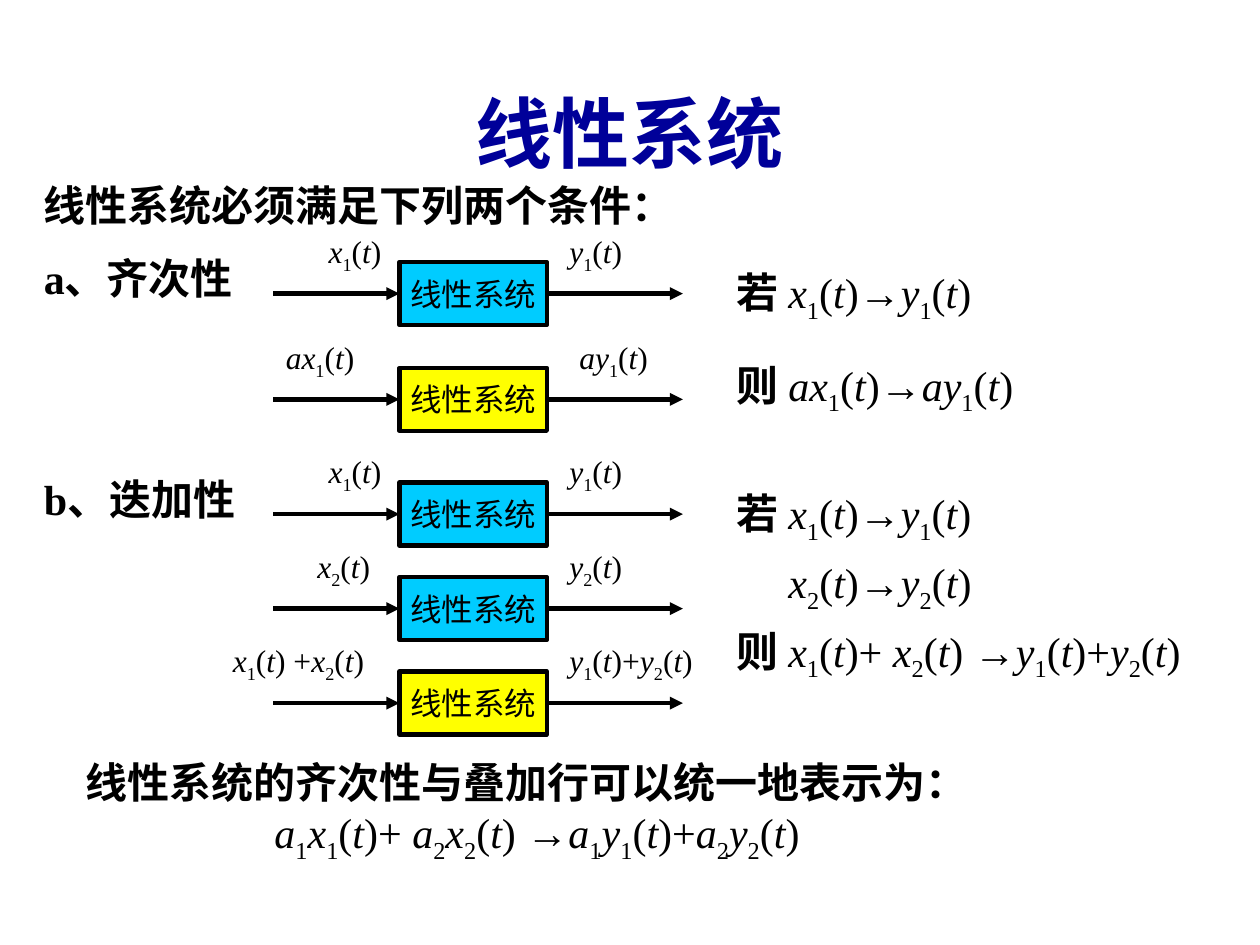
from itertools import groupby

from lxml import etree
from pptx import Presentation
from pptx import util as u
from pptx.dml.color import RGBColor
from pptx.enum import shapes, text
from pptx.oxml.ns import qn

COLORS = {"ink": "000000", "title": "000099", "given": "00CCFF", "result": "FFFF00"}
SANS, SERIF = "Arial", "Times New Roman"
MIDDLE, BOTTOM = text.MSO_ANCHOR.MIDDLE, text.MSO_ANCHOR.BOTTOM


def color(name):
    return RGBColor.from_string(COLORS[name])


def math_kind(char):
    """Sort a character of a formula by how it is set."""
    if char in "若则":
        return "word"
    if char == "→":
        return "arrow"
    if char.isdigit():
        return "subscript"
    return "variable" if char.isalpha() else "upright"


class SystemSlide:
    def __init__(self, page):
        self.page = page
        self.line_width = u.Pt(2.5)

    def style(self, para, size, name=SERIF, ink="ink", bold=False):
        para.font.size = u.Pt(size)
        para.font.name = name
        para.font.bold = bold
        para.font.color.rgb = color(ink)

    def frame(self, left, top, width, height, anchor=MIDDLE):
        box = self.page.shapes.add_textbox(
            u.Inches(left), u.Inches(top), u.Inches(width), u.Inches(height))
        box.text_frame.word_wrap = True
        box.text_frame.vertical_anchor = anchor
        return box.text_frame

    def heading(self, words, left, top, width, height,
                size=24, name=SANS, ink="ink", centered=False):
        para = self.frame(left, top, width, height).paragraphs[0]
        self.style(para, size, name, ink, bold=True)
        if centered:
            para.alignment = text.PP_ALIGN.CENTER
        for is_ascii, chars in groupby(words, str.isascii):
            span = para.add_run()
            span.text = "".join(chars)
            if is_ascii:
                span.font.name = SERIF

    def formula(self, para, words, size):
        self.style(para, size)
        for kind, chars in groupby(words, math_kind):
            span = para.add_run()
            span.text = "".join(chars)
            if kind == "word":
                span.font.bold = True
                span.font.name = SANS
            elif kind == "arrow":
                span.font.name = SANS
            elif kind == "variable":
                span.font.italic = True
            elif kind == "subscript":
                span.font._element.set("baseline", "-25000")

    def formulas(self, lines, left, top, width, height, size=24, anchor=MIDDLE):
        frame = self.frame(left, top, width, height, anchor)
        for index, words in enumerate(lines):
            para = frame.add_paragraph() if index else frame.paragraphs[0]
            self.formula(para, words, size)
        return frame

    def system_box(self, top, fill):
        box = self.page.shapes.add_shape(
            shapes.MSO_SHAPE.RECTANGLE, u.Inches(3.17), u.Inches(top),
            u.Inches(1.17), u.Inches(0.5))
        box.shadow.inherit = False
        box.fill.solid()
        box.fill.fore_color.rgb = color(fill)
        box.line.color.rgb = color("ink")
        box.line.width = self.line_width
        frame = box.text_frame
        frame.word_wrap = False
        frame.vertical_anchor = MIDDLE
        para = frame.paragraphs[0]
        para.alignment = text.PP_ALIGN.CENTER
        self.style(para, 18, SANS)
        para.add_run().text = "线性系统"
        return box

    def arrow(self, start, end, y):
        line = self.page.shapes.add_connector(
            shapes.MSO_CONNECTOR.STRAIGHT, u.Inches(start), u.Inches(y),
            u.Inches(end), u.Inches(y))
        line.line.color.rgb = color("ink")
        line.line.width = self.line_width
        etree.SubElement(line.line._get_or_add_ln(), qn("a:tailEnd"), type="triangle")
        etree.SubElement(line._element.spPr, qn("a:effectLst"))
        return line

    def system_row(self, top, fill, source, response):
        """Draw input arrow, system box and output arrow with both labels."""
        box = self.system_box(top, fill)
        self.arrow(2.17, 3.17, top + 0.25).end_connect(box, 1)
        self.arrow(4.34, 5.42, top + 0.25).begin_connect(box, 3)
        for words, left, width in (source, response):
            self.formulas([words], left, top - 0.29, width, 0.44, 18, BOTTOM)


def main():
    deck = Presentation()
    deck.slide_width, deck.slide_height = u.Inches(10), u.Inches(7.5)
    slide = SystemSlide(deck.slides.add_slide(deck.slide_layouts[6]))

    # Title and section headings
    slide.heading("线性系统", 0.33, 0.42, 9.34, 1.25, 44, ink="title", centered=True)
    for words, top in (("线性系统必须满足下列两个条件：", 1.25),
                       ("a、齐次性", 1.83), ("b、迭加性", 3.58)):
        slide.heading(words, 0.25, top, 5.25, 0.75)

    # Block diagrams: label, left and width for input and output
    x1, y1 = ("x1(t)", 2.51, 0.64), ("y1(t)", 4.42, 0.64)
    rows = [
        (2.08, "given", x1, y1),
        (2.92, "result", ("ax1(t)", 2.17, 0.76), ("ay1(t)", 4.5, 0.83)),
        (3.83, "given", x1, y1),
        (4.58, "given", ("x2(t)", 2.42, 0.64), ("y2(t)", 4.42, 0.64)),
        (5.33, "result", ("x1(t) +x2(t)", 1.75, 1.47), ("y1(t)+y2(t)", 4.42, 1.42)),
    ]
    for row in rows:
        slide.system_row(*row)

    # Homogeneity conditions
    frame = slide.formulas(["若 x1(t)→y1(t)", "则 ax1(t)→ay1(t)"],
                           5.75, 2.17, 2.58, 1.08)
    frame.paragraphs[1].space_before = u.Pt(20)

    # Superposition conditions
    frame = slide.formulas(
        ["若 x1(t)→y1(t)", "x2(t)→y2(t)", "则 x1(t)+ x2(t) →y1(t)+y2(t)"],
        5.75, 4.08, 4, 1.42)
    frame.margin_bottom = u.Inches(0.43)
    for para in frame.paragraphs:
        para.line_spacing = 1.2
    frame.paragraphs[1]._p.get_or_add_pPr().set("marL", str(u.Inches(0.41)))

    # Combined statement
    slide.heading("线性系统的齐次性与叠加行可以统一地表示为：",
                  0.58, 5.83, 8.25, 0.75, name=SERIF)
    slide.formulas(["a1x1(t)+ a2x2(t) →a1y1(t)+a2y2(t)"], 2.08, 6.42, 5.83, 0.42)

    deck.save("out.pptx")


if __name__ == "__main__":
    main()
